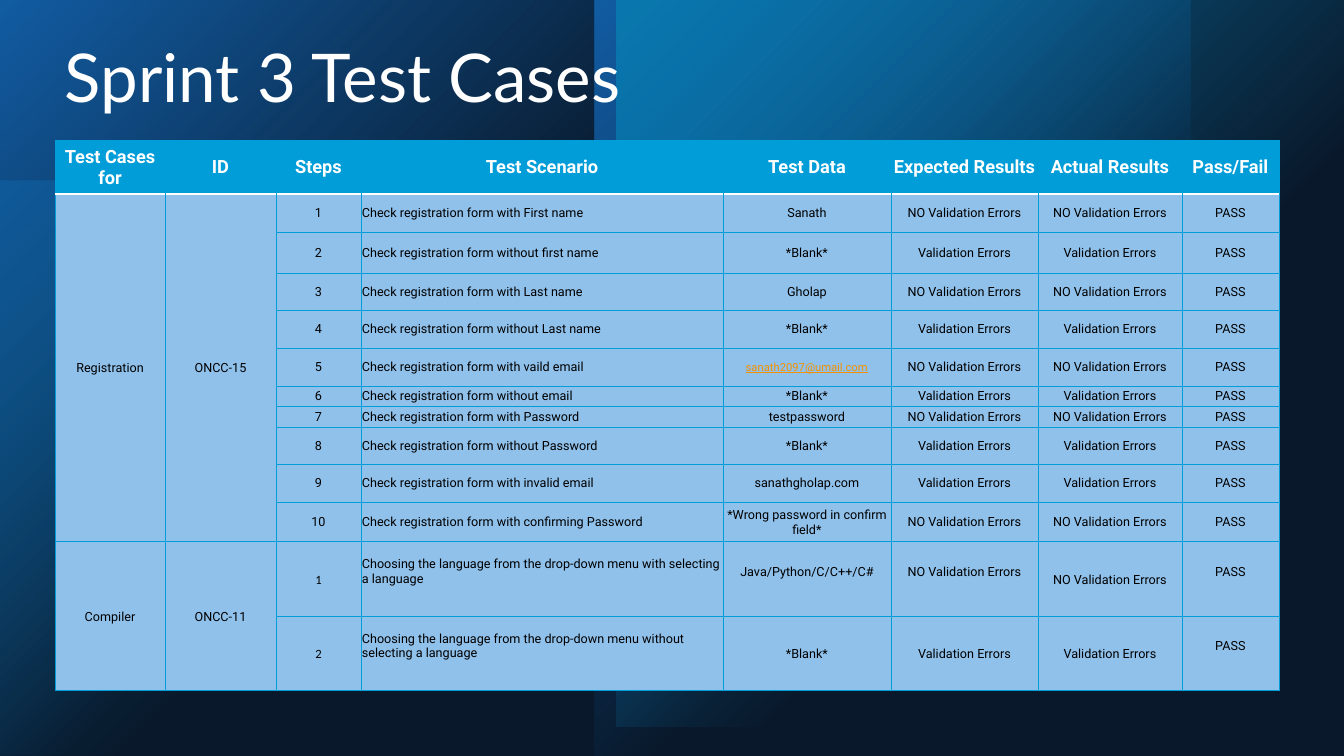
from lxml import etree
from pptx import Presentation
from pptx import util as u
from pptx.dml.color import RGBColor
from pptx.enum import shapes, text
from pptx.oxml import ns, parse_xml

PX = 914400 / 100.8
BLACK = RGBColor(0x00, 0x00, 0x00)
WHITE = RGBColor(0xFF, 0xFF, 0xFF)
NAVY = RGBColor(0x17, 0x40, 0x6D)
BLUE = RGBColor(0x0F, 0x6F, 0xC6)
SKY = RGBColor(0x00, 0x9D, 0xD9)
PALE = RGBColor(0x90, 0xC1, 0xEB)
ORANGE = RGBColor(0xF4, 0x91, 0x00)

PLAIN_TABLE = "{2D5ABB26-0587-4C30-8999-92F81FD0307C}"
GLOWS = [
    (0, 181, 576, 575, SKY, 60),
    (0, 0, 595, 756, BLUE, 100),
    (595, 0, 596, 756, BLUE, 100),
    (617, 0, 727, 727, SKY, 100),
]
COLUMNS = [110, 111, 85, 362, 168, 147, 144, 97]
ROWS = [54, 38, 41, 37, 38, 38, 20, 21, 37, 38, 40, 75, 74]
HEADERS = ["Test Cases for", "ID", "Steps", "Test Scenario", "Test Data",
           "Expected Results", "Actual Results", "Pass/Fail"]
VALID, INVALID = "NO Validation Errors", "Validation Errors"
EMAIL = "sanath2097@umail.com"
FORM = "Check registration form "
MENU = "Choosing the language from the drop-down menu "
GROUPS = [
    ("Registration", "ONCC-15", [
        (FORM + "with First name", "Sanath", VALID),
        (FORM + "without first name", "*Blank*", INVALID),
        (FORM + "with Last name", "Gholap", VALID),
        (FORM + "without Last name", "*Blank*", INVALID),
        (FORM + "with vaild email", EMAIL, VALID),
        (FORM + "without email", "*Blank*", INVALID),
        (FORM + "with Password", "testpassword", VALID),
        (FORM + "without Password", "*Blank*", INVALID),
        (FORM + "with invalid email", "sanathgholap.com", INVALID),
        (FORM + "with confirming Password", "*Wrong password in confirm field*", VALID),
    ]),
    ("Compiler", "ONCC-11", [
        (MENU + "with selecting a language", "Java/Python/C/C++/C#", VALID),
        (MENU + "without selecting a language", "*Blank*", INVALID),
    ]),
]
COMPILER_ROW = 11
RAISED = {(11, 3), (11, 4), (11, 5), (11, 7), (12, 3), (12, 7)}


def px(length):
    """Turn a length in px into EMU."""
    return u.Emu(round(length * PX))


def add_panel(page, left, top, width, height):
    """Add a rectangle without line or shadow."""
    panel = page.shapes.add_shape(shapes.MSO_SHAPE.RECTANGLE,
                                  px(left), px(top), px(width), px(height))
    panel.shadow.inherit = False
    panel.line.fill.background()
    return panel


def add_glow(page, left, top, width, height, color, alpha):
    """Add a rectangle whose colour fades out from its top left corner."""
    panel = add_panel(page, left, top, width, height)
    stops = "".join(
        f'<a:gs pos="{place}"><a:srgbClr val="{color}"><a:alpha val="{opacity}"/></a:srgbClr></a:gs>'
        for place, opacity in ((0, alpha * 1000), (60000, 0), (100000, 0)))
    gradient = parse_xml(
        f'<a:gradFill {ns.nsdecls("a")} rotWithShape="1"><a:gsLst>{stops}</a:gsLst>'
        '<a:lin ang="2700000" scaled="0"/></a:gradFill>')
    panel._element.spPr.find(ns.qn("a:prstGeom")).addnext(gradient)


def add_veil(page):
    """Cover the page with translucent navy."""
    panel = add_panel(page, 0, 0, 1344, 756)
    panel.fill.solid()
    panel.fill.fore_color.rgb = NAVY
    color = panel._element.spPr.find(ns.qn("a:solidFill"))[0]
    etree.SubElement(color, ns.qn("a:alpha"), val="40000")


def add_title(page, words):
    """Add the page heading."""
    box = page.shapes.add_textbox(px(55), px(40), px(1224), px(100))
    frame = box.text_frame
    frame.word_wrap = True
    frame.vertical_anchor = text.MSO_ANCHOR.TOP
    para = frame.paragraphs[0]
    para.text = words
    para.line_spacing = 0.9
    set_font(para.font, 48, WHITE, "Lato")


def set_font(font, size, color, name="Roboto", bold=False):
    """Set size, colour, face and weight of a font."""
    font.size, font.name, font.bold = u.Pt(size), name, bold
    font.color.rgb = color


def set_borders(cell, row, column):
    """Draw the cell's edges, leaving the header's inner sides open."""
    header = row == 0
    edges = {
        "L": None if header and column else (SKY, 0.5),
        "R": None if header and column < len(COLUMNS) - 1 else (SKY, 0.5),
        "T": (WHITE, 1) if row == 1 else (SKY, 0.5),
        "B": (WHITE, 1) if header else (SKY, 0.5),
    }
    properties = cell._tc.get_or_add_tcPr()
    for side, edge in edges.items():
        line = etree.SubElement(properties, ns.qn(f"a:ln{side}"))
        if edge is None:
            etree.SubElement(line, ns.qn("a:noFill"))
            continue
        color, width = edge
        line.set("w", str(u.Pt(width)))
        fill = etree.SubElement(line, ns.qn("a:solidFill"))
        etree.SubElement(fill, ns.qn("a:srgbClr"), val=str(color))


def style_cell(cell, row, column):
    """Give a cell its edges, fill and margins."""
    set_borders(cell, row, column)
    cell.fill.solid()
    cell.fill.fore_color.rgb = PALE if row else SKY
    cell.margin_left = cell.margin_right = cell.margin_top = px(1)
    cell.margin_bottom = px(16 if (row, column) in RAISED else 0)
    cell.vertical_anchor = text.MSO_ANCHOR.MIDDLE


def write_cell(cell, words, row, column):
    """Write a cell's text in the font of its place."""
    para = cell.text_frame.paragraphs[0]
    para.text = words
    left = row and column == 3
    para.alignment = text.PP_ALIGN.LEFT if left else text.PP_ALIGN.CENTER
    if row == 0:
        set_font(para.font, 13, WHITE, bold=True)
    elif words == EMAIL:
        set_font(para.font, 8, ORANGE)
        para.font.underline = True
    else:
        face = "Calibri" if row >= COMPILER_ROW and column == 2 else "Roboto"
        set_font(para.font, 9, BLACK, face)


def list_rows():
    """Return the words of every table row, with None under a merged cell."""
    rows = [HEADERS]
    for name, code, cases in GROUPS:
        for step, (scenario, data, result) in enumerate(cases, 1):
            owner = [name, code] if step == 1 else [None, None]
            rows.append(owner + [str(step), scenario, data, result, result, "PASS"])
    return rows


def add_cases(page):
    """Add the table of test cases."""
    frame = page.shapes.add_table(len(ROWS), len(COLUMNS), px(55), px(140),
                                  px(sum(COLUMNS)), px(sum(ROWS)))
    table = frame.table
    table._tbl.tblPr.find(ns.qn("a:tableStyleId")).text = PLAIN_TABLE
    for column, width in zip(table.columns, COLUMNS):
        column.width = px(width)
    for line, height in zip(table.rows, ROWS):
        line.height = px(height)
    for row, entries in enumerate(list_rows()):
        for column, words in enumerate(entries):
            cell = table.cell(row, column)
            style_cell(cell, row, column)
            if words is not None:
                write_cell(cell, words, row, column)
    first = 1
    for _, _, cases in GROUPS:
        last = first + len(cases) - 1
        for column in (0, 1):
            table.cell(first, column).merge(table.cell(last, column))
        first = last + 1


def main():
    """Build the slide and save it."""
    deck = Presentation()
    deck.slide_width, deck.slide_height = px(1344), px(756)
    page = deck.slides.add_slide(deck.slide_layouts[6])
    page.background.fill.solid()
    page.background.fill.fore_color.rgb = BLACK
    for glow in GLOWS:
        add_glow(page, *glow)
    add_veil(page)
    add_cases(page)
    add_title(page, "Sprint 3 Test Cases")
    deck.save("out.pptx")


if __name__ == "__main__":
    main()
